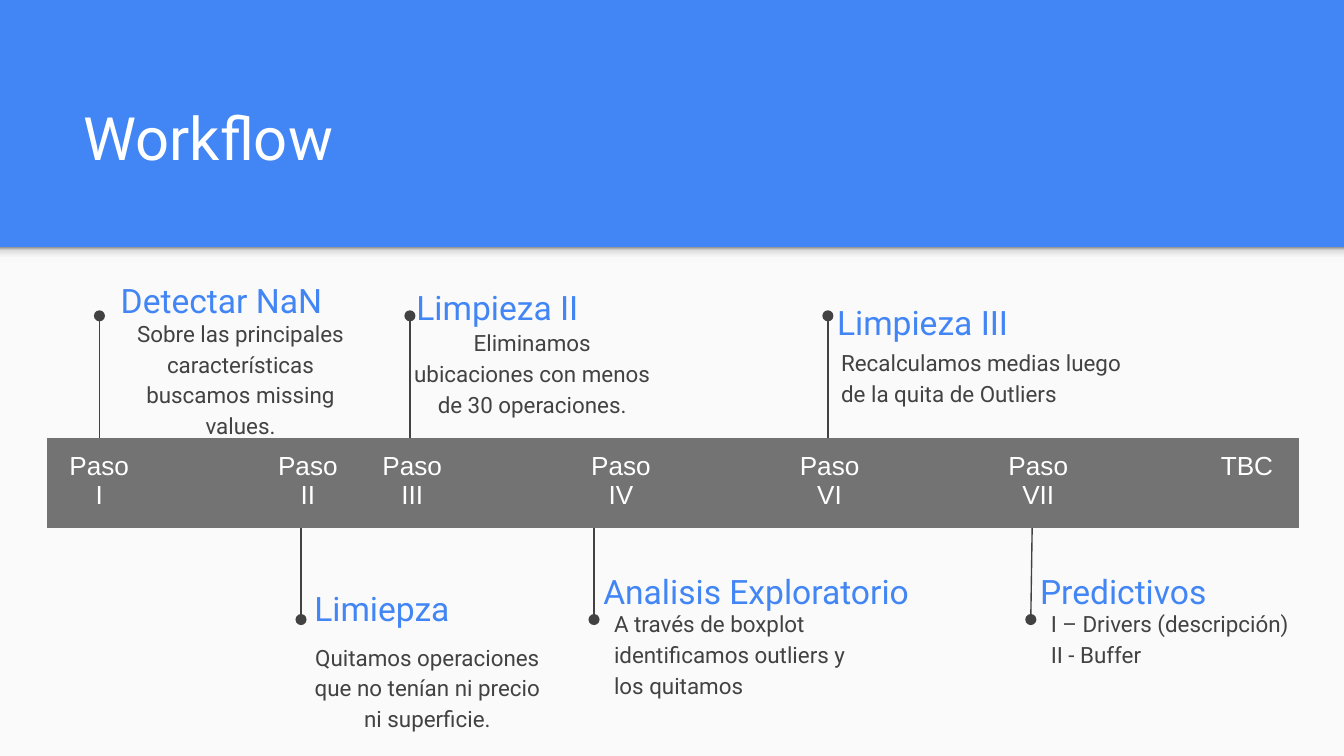
from copy import deepcopy
from dataclasses import dataclass

from lxml import etree
from pptx import Presentation
from pptx.dml.color import RGBColor
from pptx.enum.shapes import MSO_CONNECTOR, MSO_SHAPE
from pptx.enum.text import MSO_ANCHOR, PP_ALIGN
from pptx.oxml.ns import qn
from pptx.util import Inches, Pt

LINE, RECT = MSO_CONNECTOR.STRAIGHT, MSO_SHAPE.RECTANGLE
TOP, MIDDLE, BOTTOM = MSO_ANCHOR.TOP, MSO_ANCHOR.MIDDLE, MSO_ANCHOR.BOTTOM
LEFT, CENTER = PP_ALIGN.LEFT, PP_ALIGN.CENTER
COLORS = {"blue": "4285F4", "pale": "FAFAFA", "dark": "424242",
          "band": "737373", "white": "FFFFFF"}
SHADE = [(0, "F9F9F9"), (0.36, "F9F9F9"), (0.8, "DEDEDE"), (1, "999999")]
NO_GRID = "{2D5ABB26-0587-4C30-8999-92F81FD0307C}"
WIDE = 10
HIGH = WIDE * 9 / 16
PAD = 0.1
CELL_PAD = 0.12  # narrow enough to wrap each label after "Paso"
HEAD_H, BODY_H = 0.43, 0.63
UP, DOWN = 2.35, 4.61  # heights of the dots above and below the band


@dataclass
class Box:
    x: float
    y: float
    w: float = 1.98


@dataclass
class Step:
    stem: tuple[float, float, float, float]  # start x, y, then dot x, y
    head: str
    head_box: Box
    body: list[str]
    body_box: Box
    align: PP_ALIGN = LEFT


STEPS = [
    Step((0.74, 3.27, 0.74, UP), "Detectar NaN", Box(0.8, 2.02),
         ["Sobre las principales características buscamos missing values."],
         Box(0.8, 2.25), CENTER),
    Step((2.24, 3.69, 2.24, DOWN), "Limiepza", Box(2.24, 4.31),
         ["Quitamos operaciones que no tenían ni precio ni superficie."],
         Box(2.19, 4.66), CENTER),
    Step((3.05, 3.26, 3.05, UP), "Limpieza II", Box(3, 2.07),
         ["Eliminamos ubicaciones con menos de 30 operaciones."],
         Box(2.97, 2.32), CENTER),
    Step((4.42, 3.69, 4.42, DOWN), "Analisis Exploratorio", Box(4.39, 4.18, 2.61),
         ["A través de boxplot identificamos outliers y los quitamos"],
         Box(4.47, 4.41)),
    Step((6.16, 3.26, 6.16, UP), "Limpieza III", Box(6.13, 2.18),
         ["Recalculamos medias luego de la quita de Outliers"],
         Box(6.16, 2.47, 2.38)),
    Step((7.68, 3.92, 7.67, DOWN), "Predictivos", Box(7.64, 4.18),
         ["I – Drivers (descripción)", "II - Buffer"], Box(7.72, 4.41, 2.04)),
]
# Band column -> paragraphs of its label
LABELS = {0: ["Paso I"], 2: ["Paso II"], 3: ["Paso III"],
          5: ["Paso", "IV"], 7: ["Paso", "VI"], 9: ["Paso", "VII"], 11: ["TBC"]}
COLS = 12


def rgb(name: str) -> RGBColor:
    return RGBColor.from_string(COLORS[name])


def write(frame, lines: list[str], size: float, color: str, font: str = "Roboto",
          align: PP_ALIGN = LEFT, gap: float | None = None) -> None:
    for i, line in enumerate(lines):
        para = frame.add_paragraph() if i else frame.paragraphs[0]
        para.alignment, para.line_spacing = align, gap
        run = para.add_run()
        run.text = line
        run.font.size, run.font.name = Pt(size), font
        run.font.color.rgb = rgb(color)


def set_frame(frame, anchor: MSO_ANCHOR, bottom: float = PAD) -> None:
    frame.word_wrap, frame.vertical_anchor = True, anchor
    frame.margin_left = frame.margin_right = frame.margin_top = Inches(PAD)
    frame.margin_bottom = Inches(bottom)


def add_text(slide, box: Box, high: float, anchor: MSO_ANCHOR):
    shape = slide.shapes.add_textbox(
        Inches(box.x), Inches(box.y), Inches(box.w), Inches(high))
    set_frame(shape.text_frame, anchor)
    return shape.text_frame


def add_rect(slide, y: float, high: float):
    shape = slide.shapes.add_shape(RECT, 0, Inches(y), Inches(WIDE), Inches(high))
    shape.shadow.inherit = False
    shape.line.fill.background()
    return shape


def add_back(slide) -> None:
    slide.background.fill.solid()
    slide.background.fill.fore_color.rgb = rgb("blue")
    panel = add_rect(slide, 1.84, HIGH - 1.84)
    panel.fill.solid()
    panel.fill.fore_color.rgb = rgb("pale")
    # Soft shade under the header
    shade = add_rect(slide, 1.84, 0.12)
    shade.fill.gradient()
    shade.fill.gradient_angle = 90
    stops = shade._element.spPr.find(qn("a:gradFill")).find(qn("a:gsLst"))
    while len(stops) < len(SHADE):
        stops.append(deepcopy(stops[0]))
    for stop, (place, color) in zip(shade.fill.gradient_stops, SHADE):
        stop.position = place
        stop.color.rgb = RGBColor.from_string(color)


def add_title(slide) -> None:
    title = slide.shapes.title
    title.left, title.top = Inches(0.52), Inches(0.81)
    title.width, title.height = Inches(8.99), Inches(0.84)
    set_frame(title.text_frame, BOTTOM, 0.37)
    write(title.text_frame, ["Workflow"], 32, "white")


def add_stem(slide, step: Step) -> None:
    stem = slide.shapes.add_connector(LINE, *(Inches(v) for v in step.stem))
    stem.line.color.rgb, stem.line.width = rgb("dark"), Pt(0.75)
    etree.SubElement(stem.line._get_or_add_ln(), qn("a:tailEnd"), type="oval")
    etree.SubElement(stem._element.spPr, qn("a:effectLst"))


def add_step(slide, step: Step) -> None:
    add_stem(slide, step)
    head = add_text(slide, step.head_box, HEAD_H, MIDDLE)
    write(head, [step.head], 18, "blue")
    body = add_text(slide, step.body_box, BODY_H, TOP)
    write(body, step.body, 12, "dark", align=step.align, gap=1.15)


def add_band(slide) -> None:
    table = slide.shapes.add_table(1, COLS, Inches(0.35), Inches(3.26),
                                   Inches(9.32), Inches(0.42)).table
    table.first_row = table.horz_banding = False
    table._tbl.tblPr.find(qn("a:tableStyleId")).text = NO_GRID
    for col in range(COLS):
        cell = table.cell(0, col)
        cell.fill.solid()
        cell.fill.fore_color.rgb = rgb("band")
        cell.margin_left = cell.margin_right = Inches(CELL_PAD)
        cell.margin_top = cell.margin_bottom = Inches(PAD)
        write(cell.text_frame, LABELS.get(col, []), 14, "white", "Arial", CENTER)


def main() -> None:
    deck = Presentation()
    deck.slide_width, deck.slide_height = Inches(WIDE), Inches(HIGH)
    slide = deck.slides.add_slide(deck.slide_layouts[5])
    add_back(slide)
    add_title(slide)
    # Stems start behind the band, so it comes last
    for step in STEPS:
        add_step(slide, step)
    add_band(slide)
    deck.save("out.pptx")


if __name__ == "__main__":
    main()
